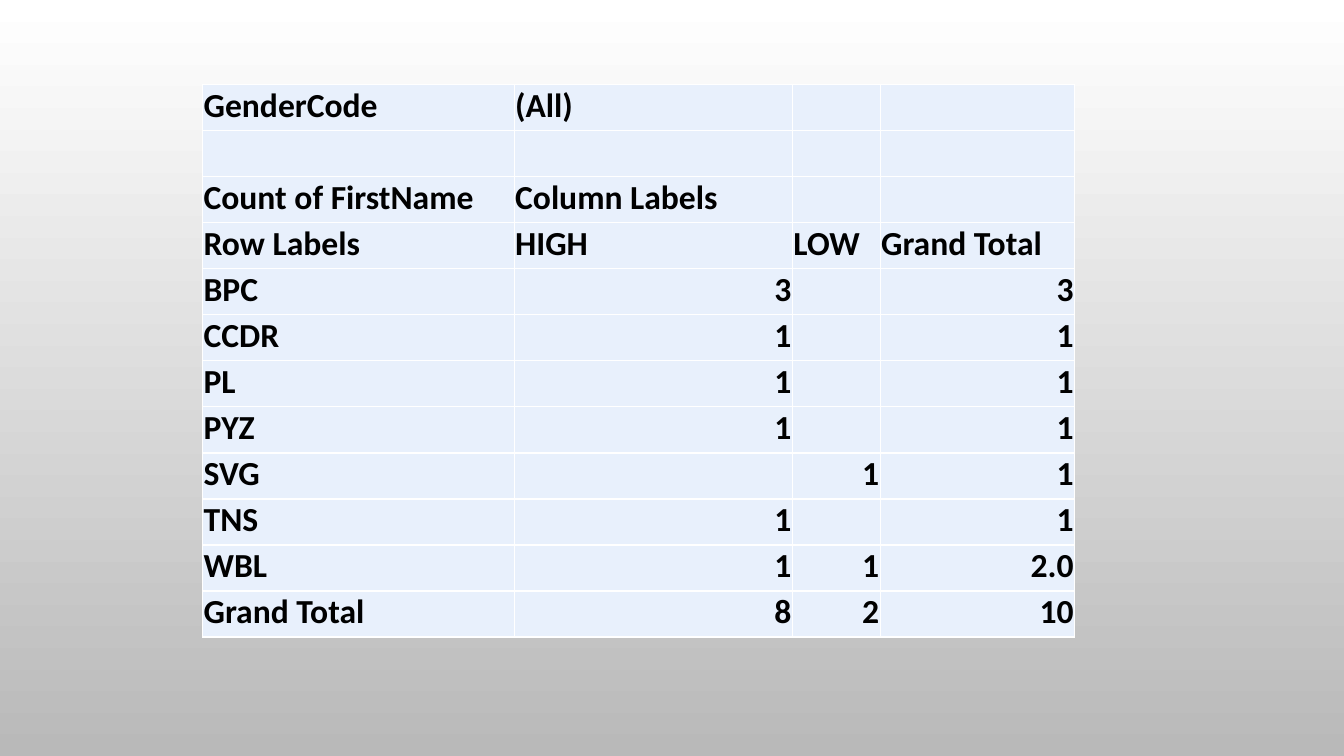
from lxml import etree
from pptx import Presentation
from pptx import util as u
from pptx.dml import color
from pptx.enum import text
from pptx.oxml import ns

pivot_rows = [
    ("GenderCode", "(All)", "", ""),
    ("", "", "", ""),
    ("Count of FirstName", "Column Labels", "", ""),
    ("Row Labels", "HIGH", "LOW", "Grand Total"),
    ("BPC", "3", "", "3"),
    ("CCDR", "1", "", "1"),
    ("PL", "1", "", "1"),
    ("PYZ", "1", "", "1"),
    ("SVG", "", "1", "1"),
    ("TNS", "1", "", "1"),
    ("WBL", "1", "1", "2.0"),
    ("Grand Total", "8", "2", "10"),
]
heading_rows = 4
column_widths = (3.09, 2.76, 0.87, 1.93)
left, top, height = 2.01, 0.84, 5.48
backdrop = ("FFFFFF", "B9B9B9")
cell_fill, border, ink = "E8F0FC", "FFFFFF", "000000"


def paint(target, hex_value):
    target.rgb = color.RGBColor.from_string(hex_value)


def add_borders(cell):
    properties = cell._tc.get_or_add_tcPr()
    for side in ("lnL", "lnR", "lnT", "lnB"):
        line = etree.SubElement(properties, ns.qn("a:" + side), w=str(u.Pt(1)))
        solid = etree.SubElement(line, ns.qn("a:solidFill"))
        etree.SubElement(solid, ns.qn("a:srgbClr"), val=border)


def fill_cell(cell, label, align):
    add_borders(cell)
    cell.fill.solid()
    paint(cell.fill.fore_color, cell_fill)
    cell.vertical_anchor = text.MSO_ANCHOR.BOTTOM
    cell.margin_left = cell.margin_right = cell.margin_top = u.Inches(0.01)
    cell.margin_bottom = u.Inches(0.04)
    if label:
        paragraph = cell.text_frame.paragraphs[0]
        paragraph.alignment = align
        run = paragraph.add_run()
        run.text = label
        run.font.name = "Calibri"
        run.font.size = u.Pt(24)
        run.font.bold = True
        paint(run.font.color, ink)


deck = Presentation()
deck.slide_width, deck.slide_height = u.Inches(13.33), u.Inches(7.5)
slide = deck.slides.add_slide(deck.slide_layouts[6])

background = slide.background.fill
background.gradient()
background.gradient_angle = 270
for stop, shade in zip(background.gradient_stops, backdrop):
    paint(stop.color, shade)

pivot = slide.shapes.add_table(
    len(pivot_rows), len(column_widths), u.Inches(left), u.Inches(top),
    u.Inches(sum(column_widths)), u.Inches(height)).table
pivot.first_row = pivot.horz_banding = False
for column, width in zip(pivot.columns, column_widths):
    column.width = u.Inches(width)

for r, labels in enumerate(pivot_rows):
    for c, label in enumerate(labels):
        is_count = r >= heading_rows and c > 0
        align = text.PP_ALIGN.RIGHT if is_count else text.PP_ALIGN.LEFT
        fill_cell(pivot.cell(r, c), label, align)

deck.save("out.pptx")
